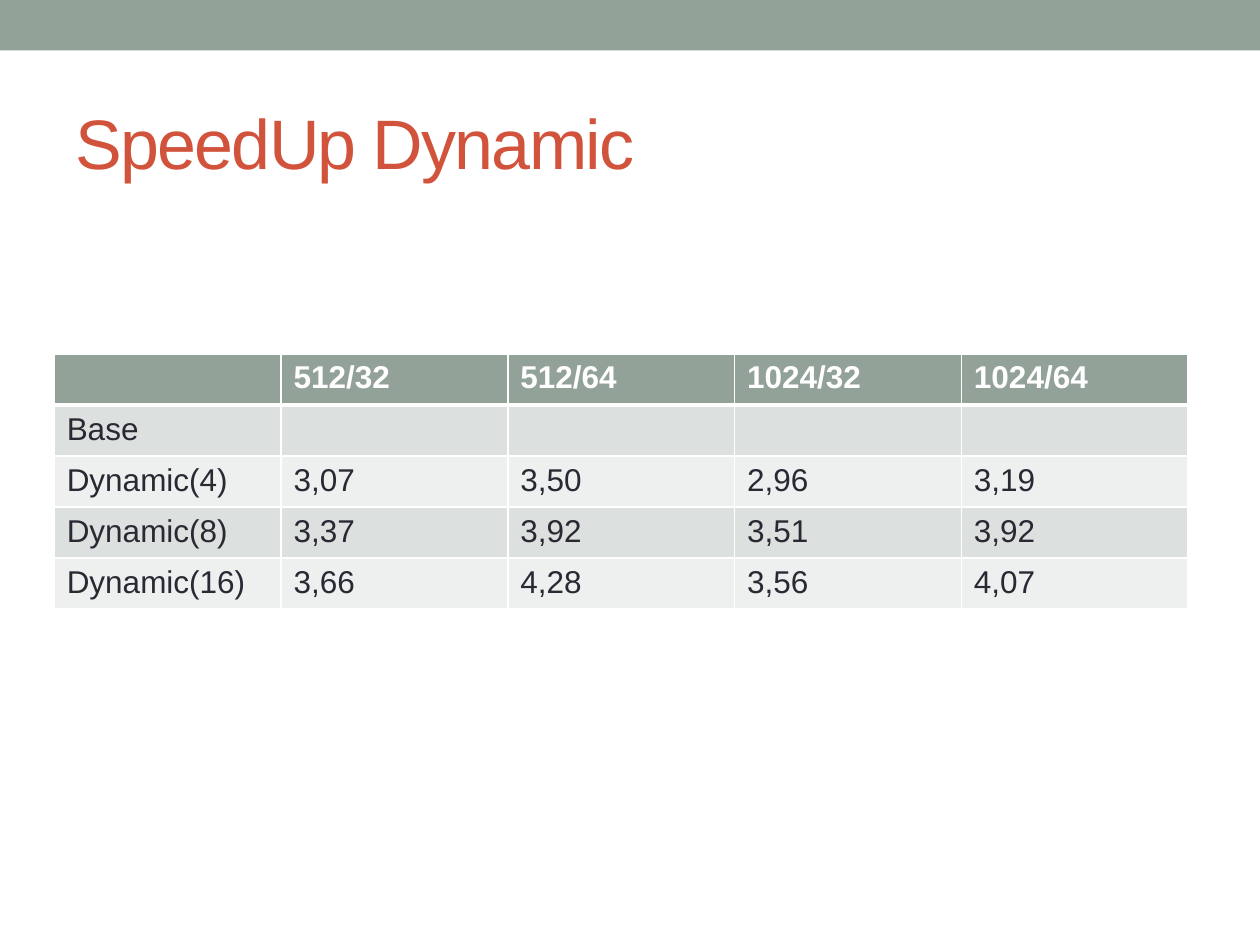
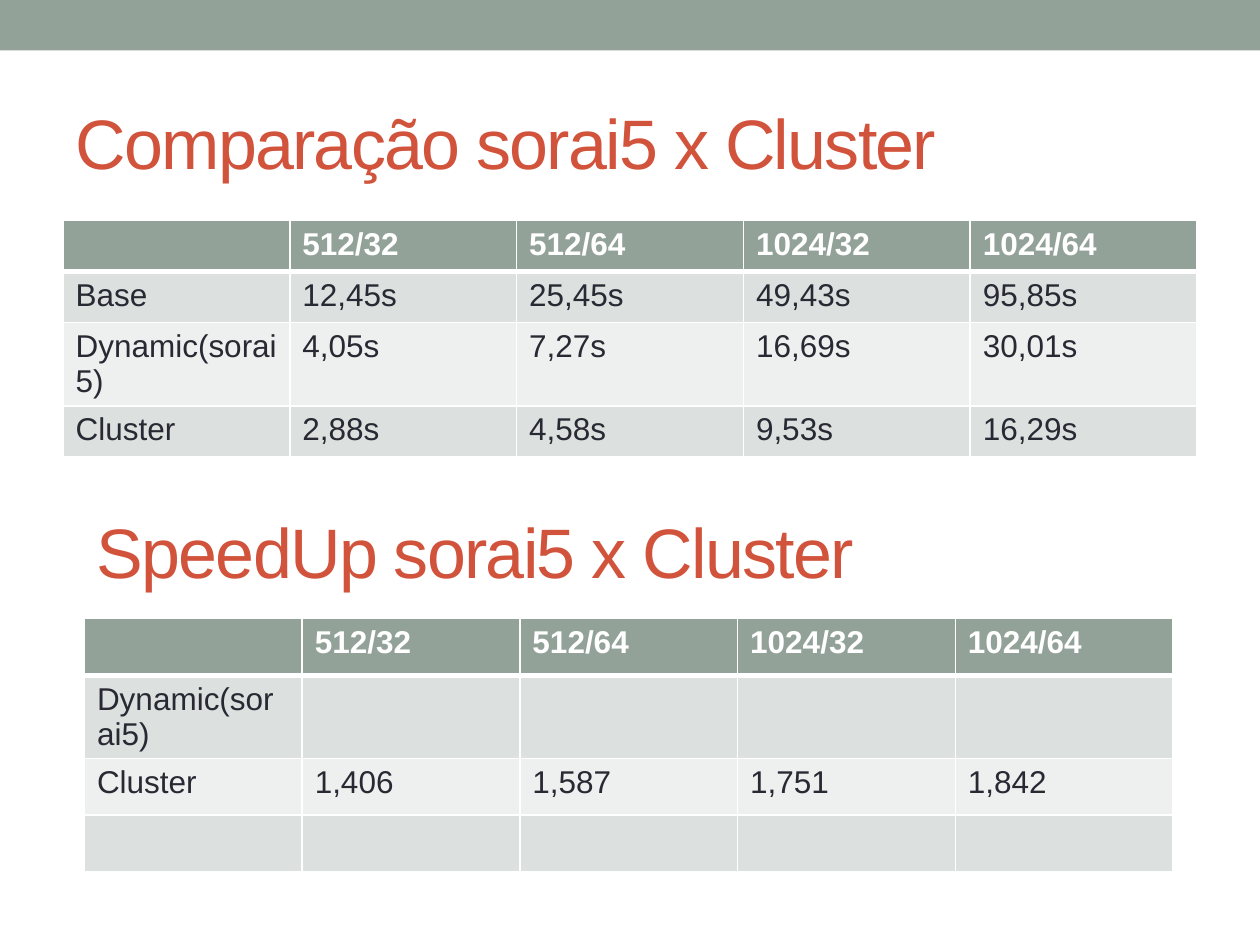
from lxml.etree import SubElement
from pptx import Presentation
from pptx.dml.color import RGBColor
from pptx.enum.shapes import MSO_SHAPE
from pptx.enum.text import MSO_ANCHOR, MSO_AUTO_SIZE, PP_ALIGN
from pptx.oxml.ns import qn
from pptx.util import Inches, Pt

# Shared style
SAGE = RGBColor(0x93, 0xA2, 0x99)
BRICK = RGBColor(0xD2, 0x53, 0x3C)
INK = RGBColor(0x29, 0x29, 0x34)
WHITE = RGBColor(0xFF, 0xFF, 0xFF)
BANDS = (RGBColor(0xEE, 0xF0, 0xEF), RGBColor(0xDC, 0xE0, 0xDE))
TITLE_FONT = {"name": "Arial", "size": Pt(40), "bold": False}
CELL_FONT = {"name": "Arial", "size": Pt(18)}
HEADER = ["", "512/32", "512/64", "1024/32", "1024/64"]
TITLE_ONLY = 5


class Deck:
    def __init__(self):
        self.presentation = Presentation()
        self.presentation.slide_width = Inches(10)
        self.presentation.slide_height = Inches(7.5)
        self.slide = None

    def add_slide(self, title):
        layout = self.presentation.slide_layouts[TITLE_ONLY]
        self.slide = self.presentation.slides.add_slide(layout)
        band = self.slide.shapes.add_shape(
            MSO_SHAPE.RECTANGLE, 0, 0, Inches(10), Inches(0.4))
        band.shadow.inherit = False
        band.fill.solid()
        band.fill.fore_color.rgb = SAGE
        band.line.fill.background()
        self.heading(self.slide.shapes.title, title, 0.5, 0.58)

    def subtitle(self, text, left, top):
        box = self.slide.shapes.add_textbox(0, 0, 0, 0)
        self.heading(box, text, left, top)

    def heading(self, shape, text, left, top):
        shape.left, shape.top = Inches(left), Inches(top)
        shape.width, shape.height = Inches(9), Inches(1.08)
        frame = shape.text_frame
        frame.word_wrap = True
        frame.auto_size = MSO_AUTO_SIZE.NONE
        frame.vertical_anchor = MSO_ANCHOR.MIDDLE
        paragraph = frame.paragraphs[0]
        paragraph.alignment = PP_ALIGN.LEFT
        run = paragraph.add_run()
        run.text = text
        self.format_font(run.font, TITLE_FONT, BRICK)
        run._r.get_or_add_rPr().set("spc", "-100")

    def table(self, left, top, width, row_height, body):
        rows = [HEADER] + body
        table = self.slide.shapes.add_table(
            len(rows), len(HEADER), Inches(left), Inches(top),
            Inches(width), Inches(row_height * len(rows))).table
        for row_index, values in enumerate(rows):
            table.rows[row_index].height = Inches(row_height)
            # Short rows leave the remaining cells empty
            for column_index, value in enumerate(values):
                self.fill_cell(table.cell(row_index, column_index),
                               value, row_index)
            for column_index in range(len(values), len(HEADER)):
                self.fill_cell(table.cell(row_index, column_index),
                               "", row_index)

    def fill_cell(self, cell, value, row_index):
        is_header = row_index == 0
        self.borders(cell, top=3 if row_index == 1 else 1,
                     bottom=3 if is_header else 1)
        cell.fill.solid()
        cell.fill.fore_color.rgb = SAGE if is_header else BANDS[row_index % 2]
        paragraph = cell.text_frame.paragraphs[0]
        if value:
            run = paragraph.add_run()
            run.text = value
            self.format_font(run.font, {**CELL_FONT, "bold": is_header},
                             WHITE if is_header else INK)

    @staticmethod
    def borders(cell, top, bottom):
        properties = cell._tc.get_or_add_tcPr()
        widths = {"a:lnL": 1, "a:lnR": 1, "a:lnT": top, "a:lnB": bottom}
        for tag, width in widths.items():
            line = SubElement(properties, qn(tag), w=str(Pt(width)))
            fill = SubElement(line, qn("a:solidFill"))
            SubElement(fill, qn("a:srgbClr"), val=str(WHITE))

    @staticmethod
    def format_font(font, values, color):
        for name, value in values.items():
            setattr(font, name, value)
        font.color.rgb = color


deck = Deck()

# Speedup of the dynamic schedule
deck.add_slide("SpeedUp Dynamic")
deck.table(0.43, 2.81, 9, 0.405, [
    ["Base"],
    ["Dynamic(4)", "3,07", "3,50", "2,96", "3,19"],
    ["Dynamic(8)", "3,37", "3,92", "3,51", "3,92"],
    ["Dynamic(16)", "3,66", "4,28", "3,56", "4,07"],
])

# Single machine against cluster: times, then speedup
deck.add_slide("Comparação sorai5 x Cluster")
deck.table(0.5, 1.75, 9, 0.405, [
    ["Base", "12,45s", "25,45s", "49,43s", "95,85s"],
    ["Dynamic(sorai5)", "4,05s", "7,27s", "16,69s", "30,01s"],
    ["Cluster", "2,88s", "4,58s", "9,53s", "16,29s"],
])
deck.subtitle("SpeedUp sorai5 x Cluster", 0.67, 3.83)
deck.table(0.67, 4.91, 8.64, 0.45, [
    ["Dynamic(sorai5)"],
    ["Cluster", "1,406", "1,587", "1,751", "1,842"],
    [],
])

deck.presentation.save("out.pptx")
